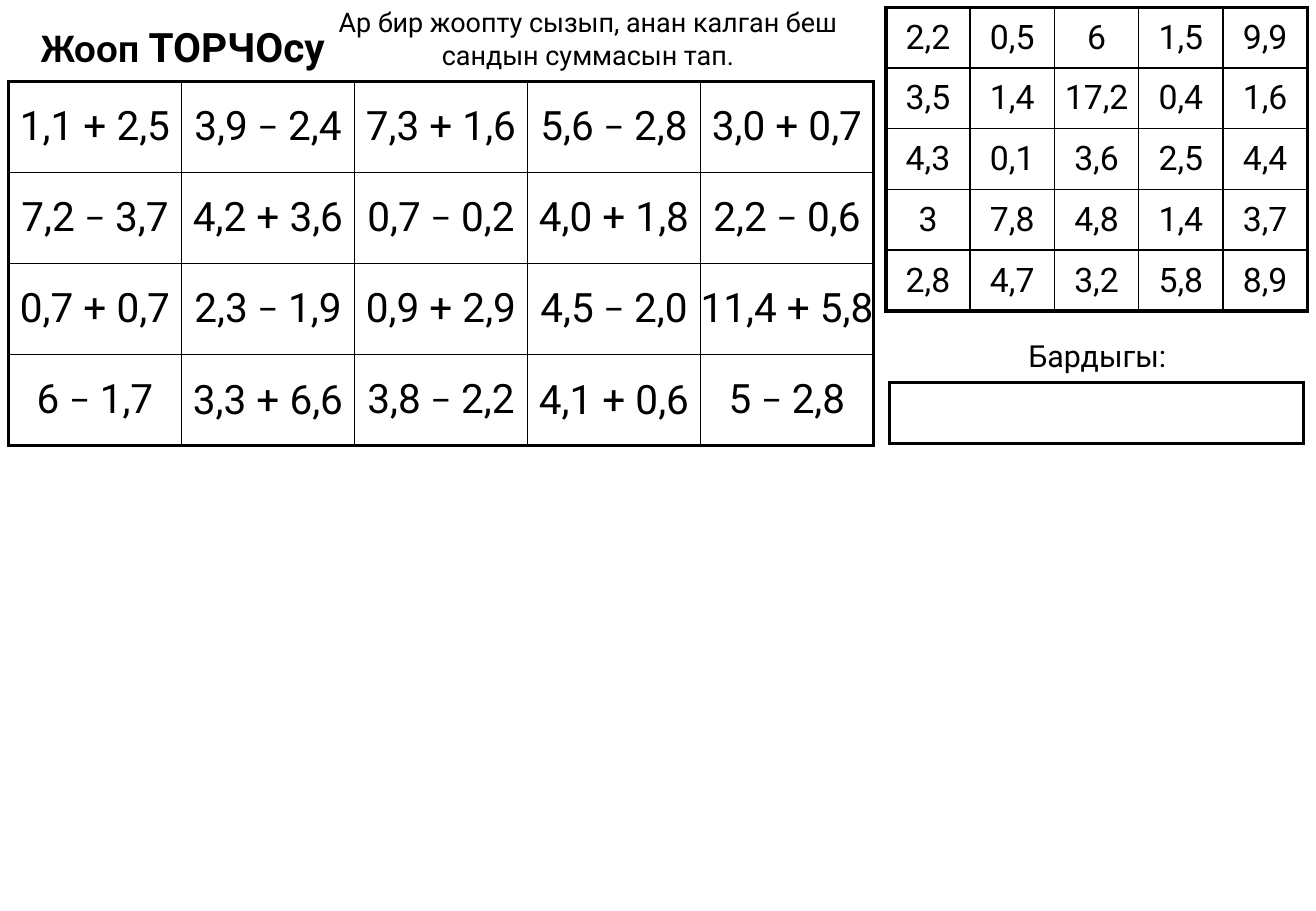
"""Build a decimal sums worksheet with an answer grid and a total box."""
from dataclasses import dataclass

from lxml import etree
from pptx import Presentation
from pptx.dml.color import RGBColor
from pptx.enum.text import MSO_ANCHOR, PP_ALIGN
from pptx.oxml.ns import qn
from pptx.slide import Slide
from pptx.table import _Cell
from pptx.text.text import TextFrame
from pptx.util import Inches, Pt

MIDDLE = MSO_ANCHOR.MIDDLE
LEFT, CENTER = PP_ALIGN.LEFT, PP_ALIGN.CENTER


@dataclass(frozen=True)
class Theme:
    ink: str = "000000"
    paper: str = "FFFFFF"
    font: str = "Roboto"
    other: str = "Calibri"
    large: int = 24
    grid: int = 20
    label: int = 18
    note: int = 16
    thick: float = 2.25
    thin: float = 1


@dataclass(frozen=True)
class Box:
    left: float
    top: float
    width: float
    height: float


@dataclass(frozen=True)
class Grid:
    box: Box
    size: int
    rows: list[list[str]]


@dataclass(frozen=True)
class Label:
    box: Box
    size: int
    text: str
    align: PP_ALIGN = CENTER
    bold: bool = False
    other: str = "−"


THEME = Theme()

GRIDS = [
    Grid(Box(7.29, 0.06, 3.47, 2.5), THEME.grid, [
        ["2,2", "0,5", "6", "1,5", "9,9"],
        ["3,5", "1,4", "17,2", "0,4", "1,6"],
        ["4,3", "0,1", "3,6", "2,5", "4,4"],
        ["3", "7,8", "4,8", "1,4", "3,7"],
        ["2,8", "4,7", "3,2", "5,8", "8,9"],
    ]),
    Grid(Box(0.07, 0.67, 7.12, 3), THEME.large, [
        ["1,1 + 2,5", "3,9 − 2,4", "7,3 + 1,6", "5,6 − 2,8", "3,0 + 0,7"],
        ["7,2 − 3,7", "4,2 + 3,6", "0,7 − 0,2", "4,0 + 1,8", "2,2 − 0,6"],
        ["0,7 + 0,7", "2,3 − 1,9", "0,9 + 2,9", "4,5 − 2,0", "11,4 + 5,8"],
        ["6 − 1,7", "3,3 + 6,6", "3,8 − 2,2", "4,1 + 0,6", "5 − 2,8"],
    ]),
    Grid(Box(7.32, 3.15, 3.41, 0.5), THEME.label, [[""]]),
]

LABELS = [
    Label(Box(7.37, 2.73, 3.32, 0.4), THEME.label, "Бардыгы:"),
    Label(Box(2.31, 0, 5.06, 0.64), THEME.note,
          "Ар бир жоопту сызып, анан калган беш сандын суммасын тап."),
    Label(Box(0.24, 0.13, 4.62, 0.5), THEME.large, "Жооп ТОРЧОсу",
          align=LEFT, bold=True, other="Жооп "),
]


def place(box: Box) -> list[int]:
    """Return the box as lengths."""
    return [Inches(n) for n in (box.left, box.top, box.width, box.height)]


def write(frame: TextFrame, text: str, *, size: int, align: PP_ALIGN = CENTER,
          bold: bool = False, other: str = "−") -> None:
    """Write text, setting the part named by other in the second font."""
    line = frame.paragraphs[0]
    line.alignment = align
    for part in filter(None, text.partition(other)):
        run = line.add_run()
        run.text = part
        run.font.name = THEME.other if part == other else THEME.font
        run.font.size = Pt(size)
        run.font.bold = bold
        run.font.color.rgb = RGBColor.from_string(THEME.ink)


def border(cell: _Cell, edges: dict[str, bool]) -> None:
    """Rule each side of a cell, thick on the outer edges."""
    props = cell._tc.get_or_add_tcPr()
    for side, outer in edges.items():
        width = Pt(THEME.thick if outer else THEME.thin)
        line = etree.SubElement(props, qn(f"a:ln{side}"), w=str(width))
        fill = etree.SubElement(line, qn("a:solidFill"))
        etree.SubElement(fill, qn("a:srgbClr"), val=THEME.ink)


def draw_grid(slide: Slide, grid: Grid) -> None:
    """Draw a table with equal cells and a thick frame."""
    high, wide = len(grid.rows), len(grid.rows[0])
    table = slide.shapes.add_table(high, wide, *place(grid.box)).table
    table.first_row = table.horz_banding = False
    for row, texts in enumerate(grid.rows):
        for col, text in enumerate(texts):
            cell = table.cell(row, col)
            cell.margin_left = cell.margin_right = 0
            cell.margin_top = cell.margin_bottom = 0
            cell.vertical_anchor = MIDDLE
            border(cell, {"L": col == 0, "R": col == wide - 1,
                          "T": row == 0, "B": row == high - 1})
            cell.fill.solid()
            cell.fill.fore_color.rgb = RGBColor.from_string(THEME.paper)
            write(cell.text_frame, text, size=grid.size)


def draw_label(slide: Slide, label: Label) -> None:
    """Draw a wrapped text box."""
    frame = slide.shapes.add_textbox(*place(label.box)).text_frame
    frame.word_wrap = True
    write(frame, label.text, size=label.size, align=label.align,
          bold=label.bold, other=label.other)


def main() -> None:
    """Build and save the worksheet."""
    deck = Presentation()
    deck.slide_width, deck.slide_height = Inches(10.83), Inches(7.5)
    slide = deck.slides.add_slide(deck.slide_layouts[6])
    for grid in GRIDS:
        draw_grid(slide, grid)
    for label in LABELS:
        draw_label(slide, label)
    deck.save("out.pptx")


if __name__ == "__main__":
    main()
